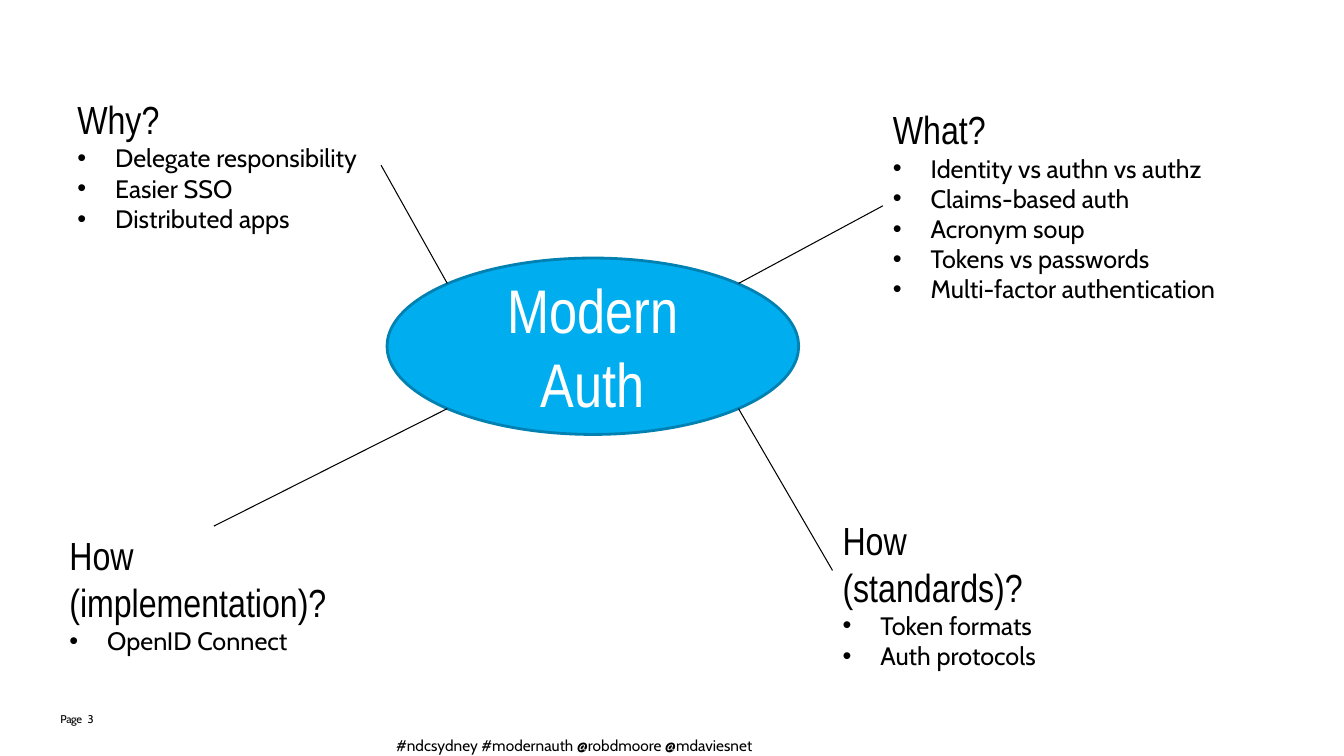
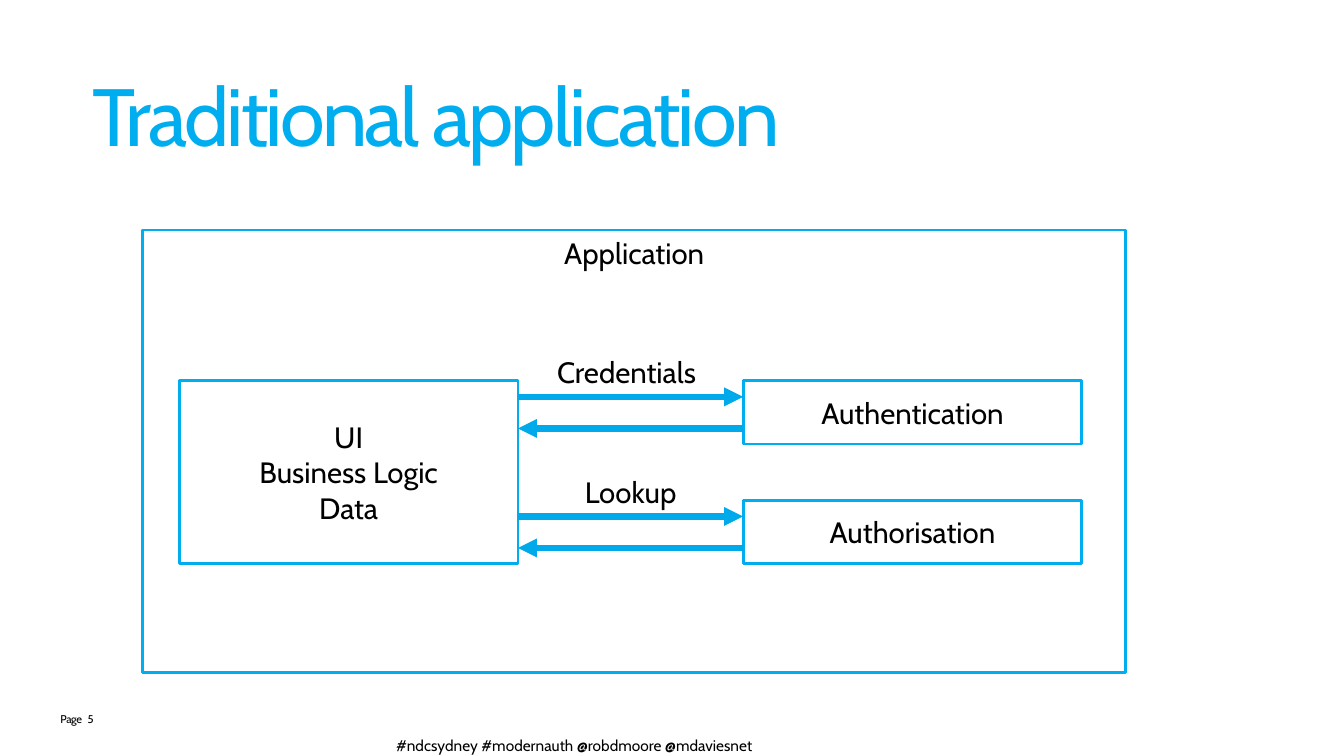
"""Build two slides on modern authentication: a topic map and a traditional application."""
import pptx
import pptx.util
import pptx.dml.color
import pptx.enum.shapes
import pptx.enum.text
import pptx.oxml.ns
import lxml.etree

Pt = pptx.util.Pt
RGB = pptx.dml.color.RGBColor.from_string
SHAPE = pptx.enum.shapes.MSO_SHAPE
ALIGN = pptx.enum.text.PP_ALIGN
ANCHOR = pptx.enum.text.MSO_ANCHOR
qn = pptx.oxml.ns.qn

HUES = {"text": "000000", "white": "FFFFFF", "blue": "00AEEF", "edge": "0081B1", "arrow": "00AAEA"}
BODY, HEAD = "Cabin", "Arial Narrow"


def put(slide, box, text, size, kind=None, fill="white", edge="blue", hue="text",
        face=BODY, align=ALIGN.LEFT, anchor=ANCHOR.TOP, inset=True, space=0):
    """Add a text box, or a shape of the given kind, with formatted text."""
    spot = [Pt(n) for n in box]
    if kind is None:
        shape = slide.shapes.add_textbox(*spot)
    else:
        shape = slide.shapes.add_shape(kind, *spot)
        shape.shadow.inherit = False
        shape.fill.solid()
        shape.fill.fore_color.rgb = RGB(HUES[fill])
        shape.line.color.rgb = RGB(HUES[edge])
        shape.line.width = Pt(2)
    frame = shape.text_frame
    frame.word_wrap = True
    frame.vertical_anchor = anchor
    if not inset:
        frame.margin_left = frame.margin_top = frame.margin_right = frame.margin_bottom = 0
    frame.text = text
    for para in frame.paragraphs:
        para.alignment = align
        for run in para.runs:
            run.font.size = Pt(size)
            run.font.name = face
            run.font.color.rgb = RGB(HUES[hue])
            if space:
                run.font._element.set("spc", str(space))
    return shape


def link(slide, start, end, hue, width, arrow=False):
    """Draw a straight line, with an arrowhead at its end if asked."""
    line = slide.shapes.add_connector(
        pptx.enum.shapes.MSO_CONNECTOR.STRAIGHT, *[Pt(n) for n in start + end])
    line.line.color.rgb = RGB(HUES[hue])
    line.line.width = Pt(width)
    props = line._element.spPr
    if arrow:
        lxml.etree.SubElement(props.find(qn("a:ln")), qn("a:tailEnd"), type="triangle")
    lxml.etree.SubElement(props, qn("a:effectLst"))


deck = pptx.Presentation()
deck.slide_width, deck.slide_height = Pt(960), Pt(540)
topics = deck.slides.add_slide(deck.slide_layouts[6])
flow = deck.slides.add_slide(deck.slide_layouts[5])

for slide, page in ((topics, "3"), (flow, "5")):
    for left, label in ((43.2, "Page"), (62.6, page)):
        put(slide, (left, 509, 22, 24), label, 8, inset=False, space=-30)
    put(slide, (275.8, 522, 283, 21), "#ndcsydney #modernauth @robdmoore @mdaviesnet", 11)

put(topics, (276.5, 184.3, 294, 126), "Modern Auth", 44, SHAPE.OVAL, "blue", "edge",
    "white", HEAD, ALIGN.CENTER, ANCHOR.MIDDLE)

groups = [
    ((48.2, 64.8, 224, 106.5), "Why?",
     ["Delegate responsibility", "Easier SSO", "Distributed apps"]),
    ((630.7, 72, 257, 150.5), "What?",
     ["Identity vs authn vs authz", "Claims-based auth", "Acronym soup",
      "Tokens vs passwords", "Multi-factor authentication"]),
    ((594.7, 365, 173.5, 85), "How (standards)?", ["Token formats", "Auth protocols"]),
    ((42.5, 375.8, 220.3, 63.4), "How (implementation)?", ["OpenID Connect"]),
]
for box, title, points in groups:
    note = put(topics, box, "\n".join([title] + points), 18)
    first, *items = note.text_frame.paragraphs
    first.runs[0].font.size = Pt(28)
    first.runs[0].font.name = HEAD
    for item in items:
        props = item._p.get_or_add_pPr()
        props.set("marL", str(Pt(27)))
        props.set("indent", str(Pt(-27)))
        lxml.etree.SubElement(props, qn("a:buFont"), typeface="Arial")
        lxml.etree.SubElement(props, qn("a:buChar"), char="•")

west, east, north, south = 319.5, 527.5, 202.5, 291.9
for start, end in (((272.2, 118), (west, north)), ((630.7, 147), (east, north)),
                   ((152.8, 375.8), (west, south)), ((594.7, 407.5), (east, south))):
    link(topics, start, end, "text", 0.75)

title = flow.shapes.title
title.left, title.top, title.width, title.height = Pt(66.2), Pt(26), Pt(791), Pt(90)
frame = title.text_frame
frame.text = "Traditional application"
frame.auto_size = pptx.enum.text.MSO_AUTO_SIZE.NONE
frame.vertical_anchor = ANCHOR.BOTTOM
frame.margin_left = frame.margin_top = frame.margin_right = frame.margin_bottom = 0
para = frame.paragraphs[0]
para.alignment = ALIGN.LEFT
para.line_spacing = Pt(50)
font = para.runs[0].font
font.size, font.name = Pt(58), BODY
font.color.rgb = RGB(HUES["blue"])
font._element.set("spc", "-200")

left, right, wide, top, step = 128, 530.8, 242, 272, 85.4
put(flow, (102, 164.3, 702, 316), "Application", 21, SHAPE.RECTANGLE, align=ALIGN.CENTER)
put(flow, (left, top, wide, 130.6), "UI\nBusiness Logic\nData", 21, SHAPE.RECTANGLE,
    align=ALIGN.CENTER, anchor=ANCHOR.MIDDLE)

calls = (("Authentication", "Credentials", 388), ("Authorisation", "Lookup", 391))
for row, (part, label, start) in enumerate(calls):
    y = top + row * step
    put(flow, (right, y, wide, 45.2), part, 21, SHAPE.RECTANGLE,
        align=ALIGN.CENTER, anchor=ANCHOR.MIDDLE)
    link(flow, (left + wide, y + 11.5), (right, y + 11.5), "arrow", 4.5, True)
    link(flow, (right, y + 34), (left + wide, y + 34), "arrow", 4.5, True)
    put(flow, (start, y - 22.6, 119, 32.4), label, 21, align=ALIGN.CENTER)

deck.save("out.pptx")
